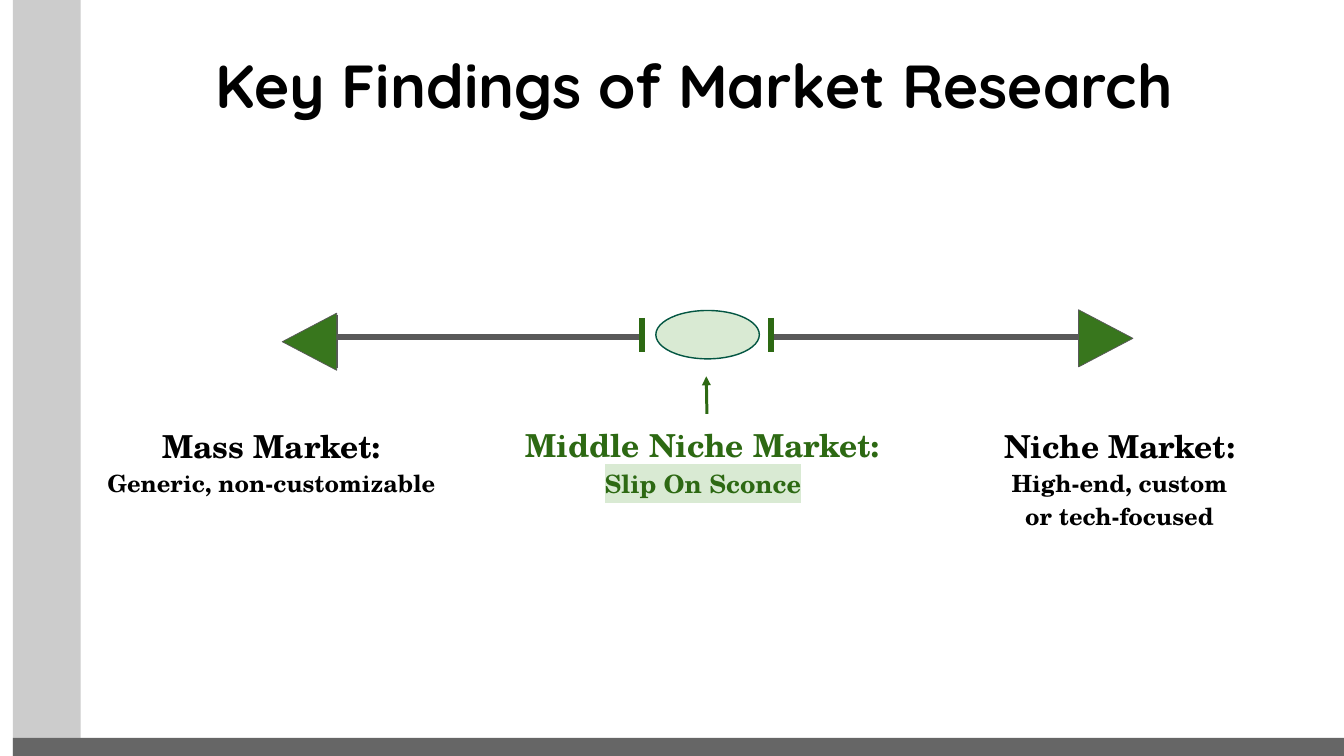
from collections import namedtuple
from lxml.etree import SubElement
from pptx import Presentation
from pptx.dml.color import RGBColor
from pptx.enum.shapes import MSO_CONNECTOR as LINE, MSO_SHAPE as SHAPE
from pptx.enum.text import MSO_ANCHOR as ANCHOR, PP_ALIGN as ALIGN
from pptx.oxml import parse_xml
from pptx.oxml.ns import nsdecls, qn
from pptx.util import Inches, Pt

Box = namedtuple("Box", "left top width height")

# Grid of 20 columns by 11.25 rows
COLUMNS, ROWS = 20, 11.25
SLIDE_WIDTH, SLIDE_HEIGHT = Inches(20), Inches(11.25)

GREY, GREEN, PALE_GREEN, BLACK = "595959", "2D6913", "D9EAD3", "000000"
AXIS_ROW = 5.02
AXIS_WEIGHT = 6.41


def color(value):
    return RGBColor.from_string(value)


def x(columns):
    return round(SLIDE_WIDTH * columns / COLUMNS)


def y(rows):
    return round(SLIDE_HEIGHT * rows / ROWS)


def place(box):
    return x(box.left), y(box.top), x(box.width), y(box.height)


def add_figure(slide, kind, box, fill, outline=None, weight=0.8):
    figure = slide.shapes.add_shape(kind, *place(box))
    figure.shadow.inherit = False
    figure.fill.solid()
    figure.fill.fore_color.rgb = color(fill)
    if outline:
        figure.line.color.rgb = color(outline)
        figure.line.width = Pt(weight)
    else:
        figure.line.fill.background()
    return figure


def add_line(slide, start, end, stroke, weight=AXIS_WEIGHT, arrow=False):
    line = slide.shapes.add_connector(
        LINE.STRAIGHT, x(start[0]), y(start[1]), x(end[0]), y(end[1]))
    line.line.color.rgb = color(stroke)
    line.line.width = Pt(weight)
    if arrow:
        SubElement(line.line._get_or_add_ln(), qn("a:tailEnd"), type="triangle")
    SubElement(line._element.spPr, qn("a:effectLst"))


def add_text(slide, box, inset, anchor=ANCHOR.TOP):
    frame = slide.shapes.add_textbox(*place(box)).text_frame
    frame.word_wrap = True
    frame.vertical_anchor = anchor
    frame.margin_left = frame.margin_right = Inches(inset)
    frame.margin_top = frame.margin_bottom = Inches(inset)
    return frame


def style(run, size, ink, face="TeX Gyre Schola", highlight=None):
    run.font.size, run.font.bold, run.font.name = Pt(size), True, face
    run.font.color.rgb = color(ink)
    if highlight:
        fill = run.font._element.find(qn("a:solidFill"))
        fill.addnext(parse_xml(
            f'<a:highlight {nsdecls("a")}><a:srgbClr val="{highlight}"/></a:highlight>'))


def add_frame(slide, box):
    """Side band and bottom band."""
    add_figure(slide, SHAPE.RECTANGLE, box._replace(width=1.01), "CCCCCC")
    band = 0.27
    add_figure(slide, SHAPE.RECTANGLE,
               box._replace(top=box.height - band, height=band), "666666")


def add_title(slide, box, wording):
    title = add_text(slide, box, 0.2, ANCHOR.BOTTOM).paragraphs[0]
    title.text = wording
    title.alignment = ALIGN.CENTER
    style(title.runs[0], 65, BLACK, "Quicksand")


def add_arm(slide, box, direction):
    """Axis from the inner stop to an arrowhead; direction is -1 left, 1 right."""
    right = box.left + box.width
    inner, tip = (box.left, right) if direction > 0 else (right, box.left)
    head_length, middle = 0.81, box.top + box.height / 2
    base = tip - direction * 0.78
    add_line(slide, (inner, AXIS_ROW), (base, AXIS_ROW), GREY)
    add_line(slide, (base, middle - 0.39), (base, middle + 0.39), GREY)
    add_line(slide, (inner, 4.73), (inner, 5.24), GREEN)
    # The box of the rotated triangle shares its centre with the arrowhead
    center = tip - direction * head_length / 2
    head = add_figure(slide, SHAPE.ISOSCELES_TRIANGLE,
                      Box(center - box.height / 2, middle - head_length / 2,
                          box.height, head_length), "38761D", GREY)
    head.rotation = direction * 90 % 360


def add_niche(slide, box):
    """Middle ellipse with the pointer below it."""
    add_figure(slide, SHAPE.OVAL, box, PALE_GREEN, "035642", 1.5)
    center = box.left + box.width / 2
    bottom = box.top + box.height
    add_line(slide, (center - 0.01, bottom + 0.82), (center - 0.02, bottom + 0.26),
             GREEN, 3.2, arrow=True)


def add_market(slide, box, heading, detail):
    frame = add_text(slide, box, 0.11)
    frame.text = f"{heading}\n{detail}"
    for paragraph, size in zip(frame.paragraphs, (33.9, 25.4)):
        paragraph.alignment = ALIGN.CENTER
        paragraph.line_spacing = 1.15
        style(paragraph.runs[0], size, BLACK)


def add_middle_market(slide, box, heading, product):
    label = add_text(slide, box, 0.11).paragraphs[0]
    label.alignment = ALIGN.CENTER
    label.line_spacing = 1.15
    for wording, size, highlight in ((heading + " ", 33.9, None),
                                     (product, 27, PALE_GREEN)):
        run = label.add_run()
        run.text = wording
        style(run, size, GREEN, highlight=highlight)


def main():
    deck = Presentation()
    deck.slide_width, deck.slide_height = SLIDE_WIDTH, SLIDE_HEIGHT
    slide = deck.slides.add_slide(deck.slide_layouts[6])

    add_frame(slide, Box(0.19, 0, 19.81, ROWS))
    add_title(slide, Box(1.64, 0.4, 17.39, 1.6), "Key Findings of Market Research")

    # Market spectrum
    add_arm(slide, Box(4.2, 4.66, 5.35, 0.85), -1)
    add_arm(slide, Box(11.48, 4.61, 5.38, 0.85), 1)
    add_niche(slide, Box(9.76, 4.62, 1.54, 0.72))

    # Labels under the spectrum
    add_market(slide, Box(1.45, 6.16, 5.18, 0.93),
               "Mass Market:", "Generic, non-customizable")
    add_middle_market(slide, Box(7.69, 6.14, 5.54, 0.93),
                      "Middle Niche Market:", "Slip On Sconce")
    add_market(slide, Box(14.77, 6.16, 3.78, 0.93),
               "Niche Market:", "High-end, custom or tech-focused")

    deck.save("out.pptx")


if __name__ == "__main__":
    main()
